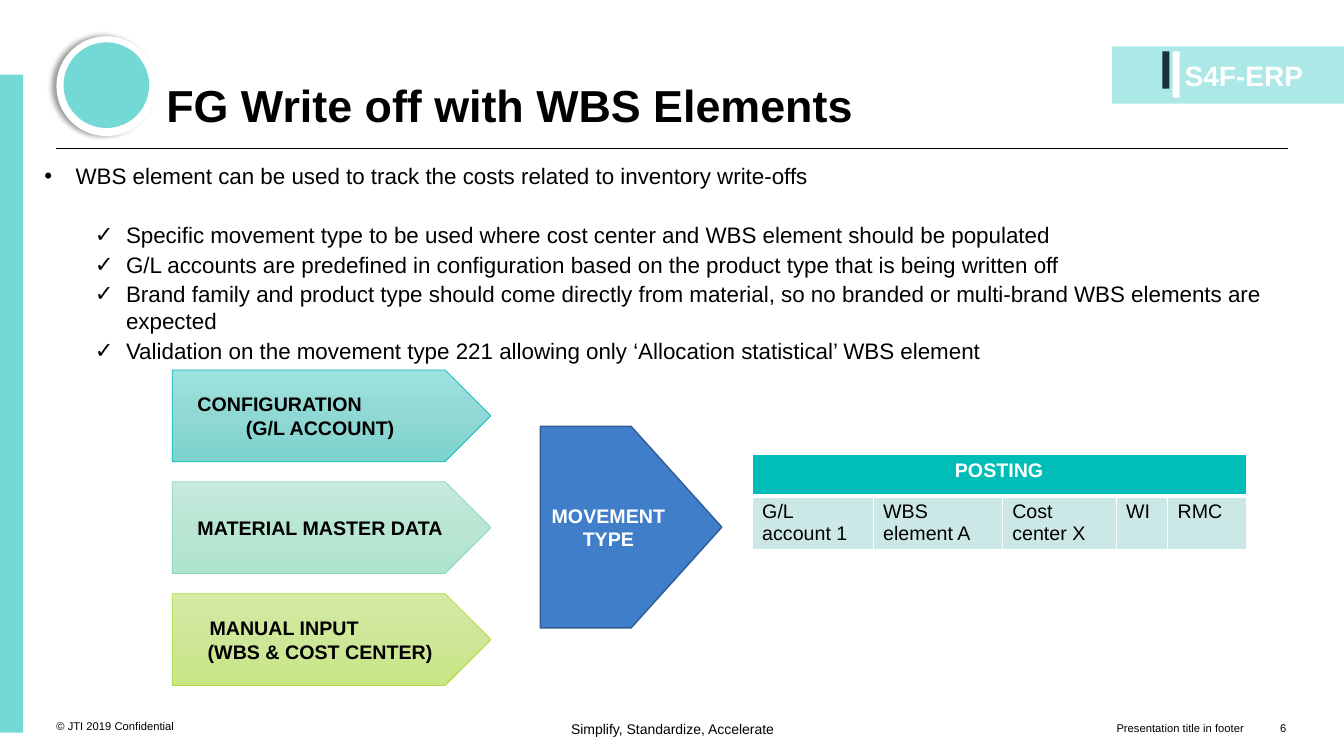
"""Build the slide on finished goods write-off with WBS elements."""
from dataclasses import dataclass

from lxml import etree
from pptx import Presentation
from pptx import util as u
from pptx.dml.color import RGBColor
from pptx.enum import shapes, text
from pptx.oxml.ns import qn

KIND = shapes.MSO_SHAPE
ALIGN = text.PP_ALIGN
ANCHOR = text.MSO_ANCHOR
FONT = "Arial"
BLACK, WHITE, TEAL, MINT = "000000", "FFFFFF", "00BDB7", "74D9D5"
BODY_LEVELS = ((0.31, "•"), (0.81, "✓"))
COLUMN_WIDTHS = (1.2, 1.28, 1.13, 0.51, 0.78)
POSTING_ITEMS = ("G/L account 1", "WBS element A", "Cost center X", "WI", "RMC")


@dataclass(frozen=True)
class Area:
    left: float
    top: float
    width: float
    height: float

    def lengths(self) -> tuple:
        return tuple(u.Inches(v) for v in (self.left, self.top, self.width, self.height))


@dataclass(frozen=True)
class Block:
    kind: int
    area: Area
    fill: str


@dataclass(frozen=True)
class Label:
    area: Area
    words: str
    size: int
    align: int = ALIGN.LEFT
    anchor: int = ANCHOR.BOTTOM
    color: str = BLACK
    bold: bool = False


@dataclass(frozen=True)
class Line:
    words: str
    indent: float = 0
    align: int = ALIGN.CENTER


@dataclass(frozen=True)
class Source:
    lines: tuple
    stops: tuple
    outline: str


BLOCKS = (
    Block(KIND.RECTANGLE, Area(11.03, 0.46, 2.3, 0.57), "ACE8E6"),
    Block(KIND.RECTANGLE, Area(11.53, 0.51, 0.07, 0.37), "1A3040"),
    Block(KIND.RECTANGLE, Area(11.63, 0.51, 0.07, 0.46), WHITE),
    Block(KIND.RECTANGLE, Area(0, 0.74, 0.23, 6.53), MINT),
    Block(KIND.OVAL, Area(0.56, 0.36, 0.99, 0.99), WHITE),
    Block(KIND.OVAL, Area(0.63, 0.42, 0.85, 0.85), MINT),
)
LABELS = (
    Label(Area(0.56, 6.87, 1.97, 0.4), "© JTI 2019 Confidential", 8),
    Label(Area(5.14, 7.15, 3.06, 0.3), "Simplify, Standardize, Accelerate", 10,
          ALIGN.CENTER, ANCHOR.TOP),
    Label(Area(11.75, 0.58, 1.25, 0.5), "S4F-ERP", 20, anchor=ANCHOR.TOP,
          color=WHITE, bold=True),
    Label(Area(7.74, 6.89, 4.6, 0.4), "Presentation title in footer", 8, ALIGN.RIGHT),
    Label(Area(12.33, 6.89, 0.43, 0.4), "6", 8, ALIGN.RIGHT),
)
BULLETS = (
    (0, "WBS element can be used to track the costs related to inventory write-offs"),
    (1, "Specific movement type to be used where cost center and WBS element should be populated"),
    (1, "G/L accounts are predefined in configuration based on the product type that is being "
        "written off"),
    (1, "Brand family and product type should come directly from material, so no branded or "
        "multi-brand WBS elements are expected"),
    (1, "Validation on the movement type 221 allowing only ‘Allocation statistical’ WBS element"),
)
SOURCES = (
    Source((Line("CONFIGURATION", 0.15, ALIGN.LEFT), Line("(G/L ACCOUNT)")),
           ("9DE1DD", "90D8D4", "7CD3CE"), TEAL),
    Source((Line("MATERIAL MASTER DATA"),), ("C6EBDC", "B9E5D3", "AEE4CE"), "88D5B8"),
    Source((Line("MANUAL INPUT", 0.27, ALIGN.LEFT), Line("(WBS & COST CENTER)")),
           ("D5EBA6", "CDE697", "C8E784"), "B0D838"),
)


def rgb(value: str) -> RGBColor:
    return RGBColor.from_string(value)


def add_element(parent, tag: str, **attributes):
    return etree.SubElement(parent, qn(tag), attributes)


def write(para, words: str, size: int, color: str = BLACK, bold: bool = False) -> None:
    span = para.add_run()
    span.text = words
    span.font.name = FONT
    span.font.size = u.Pt(size)
    span.font.bold = bold
    span.font.color.rgb = rgb(color)


def place(box, area: Area, anchor: int):
    box.left, box.top, box.width, box.height = area.lengths()
    frame = box.text_frame
    frame.word_wrap = True
    frame.auto_size = text.MSO_AUTO_SIZE.NONE
    frame.vertical_anchor = anchor
    frame.margin_left = frame.margin_right = frame.margin_top = frame.margin_bottom = 0
    return frame


def add_label(page, label: Label) -> None:
    frame = place(page.shapes.add_textbox(*label.area.lengths()), label.area, label.anchor)
    para = frame.paragraphs[0]
    para.alignment = label.align
    write(para, label.words, label.size, label.color, label.bold)


def add_block(page, block: Block):
    shape = page.shapes.add_shape(block.kind, *block.area.lengths())
    shape.shadow.inherit = False
    shape.fill.solid()
    shape.fill.fore_color.rgb = rgb(block.fill)
    shape.line.fill.background()
    return shape


def add_shadow(shape) -> None:
    effects = shape._element.spPr.find(qn("a:effectLst"))
    shadow = add_element(effects, "a:outerShdw", blurRad=str(u.Pt(4)), dist=str(u.Pt(3)),
                         dir="10800000", algn="r", rotWithShape="0")
    add_element(add_element(shadow, "a:srgbClr", val=BLACK), "a:alpha", val="40000")


def add_pentagon(page, area: Area, lines: tuple, fill: str, outline: str, width: float,
                 color: str):
    shape = add_block(page, Block(KIND.PENTAGON, area, fill))
    shape.line.color.rgb = rgb(outline)
    shape.line.width = u.Pt(width)
    frame = shape.text_frame
    frame.word_wrap = True
    frame.vertical_anchor = ANCHOR.MIDDLE
    for index, line in enumerate(lines):
        para = frame.add_paragraph() if index else frame.paragraphs[0]
        para.alignment = line.align
        para._p.get_or_add_pPr().set("marL", str(u.Inches(line.indent)))
        write(para, line.words, 14, color, True)
    return shape


def shade(shape, stops: tuple) -> None:
    shape.fill.gradient()
    shape.fill.gradient_angle = 270
    stop_list = next(shape._element.spPr.iter(qn("a:gsLst")))
    for stop in list(stop_list):
        stop_list.remove(stop)
    for index, color in enumerate(stops):
        stop = add_element(stop_list, "a:gs", pos=str(index * 50000))
        add_element(stop, "a:srgbClr", val=color)


def fill_title(page) -> None:
    para = place(page.shapes.title, Area(1.65, 0.23, 9.74, 1.08), ANCHOR.BOTTOM).paragraphs[0]
    para.alignment = ALIGN.LEFT
    para.line_spacing = 0.9
    write(para, "FG Write off with WBS Elements", 32, bold=True)


def fill_body(page) -> None:
    frame = place(page.placeholders[1], Area(0.44, 1.61, 12.25, 2.06), ANCHOR.TOP)
    for index, (level, words) in enumerate(BULLETS):
        para = frame.add_paragraph() if index else frame.paragraphs[0]
        indent, mark = BODY_LEVELS[level]
        properties = para._p.get_or_add_pPr()
        properties.set("marL", str(u.Inches(indent)))
        properties.set("indent", str(u.Inches(-0.31)))
        add_element(properties, "a:buFont", typeface=FONT)
        add_element(properties, "a:buChar", char=mark)
        para.level = level
        para.space_before = u.Pt(1 if index else 0)
        para.space_after = u.Pt(1 if index else 22)
        write(para, words, 16)


def fill_cell(cell, words: str, fill: str, header: bool) -> None:
    properties = cell._tc.get_or_add_tcPr()
    widths = {"L": 1, "R": 1, "T": 1 if header else 3, "B": 3 if header else 1}
    for side, width in widths.items():
        border = add_element(properties, f"a:ln{side}", w=str(u.Pt(width)))
        add_element(add_element(border, "a:solidFill"), "a:srgbClr", val=WHITE)
    cell.fill.solid()
    cell.fill.fore_color.rgb = rgb(fill)
    para = cell.text_frame.paragraphs[0]
    para.alignment = ALIGN.CENTER if header else ALIGN.LEFT
    if words:
        write(para, words, 14, WHITE if header else BLACK, header)


def add_posting_table(page) -> None:
    area = Area(7.46, 4.51, sum(COLUMN_WIDTHS), 0.82)
    table = page.shapes.add_table(2, len(COLUMN_WIDTHS), *area.lengths()).table
    for index, (width, item) in enumerate(zip(COLUMN_WIDTHS, POSTING_ITEMS)):
        table.columns[index].width = u.Inches(width)
        fill_cell(table.cell(0, index), "" if index else "POSTING", TEAL, True)
        fill_cell(table.cell(1, index), item, "CCE8E6", False)
    table.cell(0, 0).merge(table.cell(0, len(COLUMN_WIDTHS) - 1))


def main() -> None:
    deck = Presentation()
    deck.slide_width, deck.slide_height = u.Inches(13.33), u.Inches(7.5)
    page = deck.slides.add_slide(deck.slide_layouts[1])
    fill_title(page)
    fill_body(page)
    rule = page.shapes.add_connector(shapes.MSO_CONNECTOR.STRAIGHT, u.Inches(0.56),
                                     u.Inches(1.47), u.Inches(12.77), u.Inches(1.47))
    rule.line.color.rgb = rgb(BLACK)
    rule.line.width = u.Pt(0.75)
    add_element(rule._element.spPr, "a:effectLst")
    for block in BLOCKS:
        shape = add_block(page, block)
        if block.kind == KIND.OVAL and block.fill == WHITE:
            add_shadow(shape)
    for label in LABELS:
        add_label(page, label)
    add_posting_table(page)
    for index, source in enumerate(SOURCES):
        area = Area(1.71, 3.67 + 1.11 * index, 3.16, 0.91)
        shape = add_pentagon(page, area, source.lines, source.stops[0], source.outline, 0.5, BLACK)
        shade(shape, source.stops)
    add_pentagon(page, Area(5.36, 4.23, 1.8, 2), (Line("MOVEMENT TYPE"),),
                 "407EC9", "2F5D95", 1, WHITE)
    deck.save("out.pptx")


if __name__ == "__main__":
    main()
